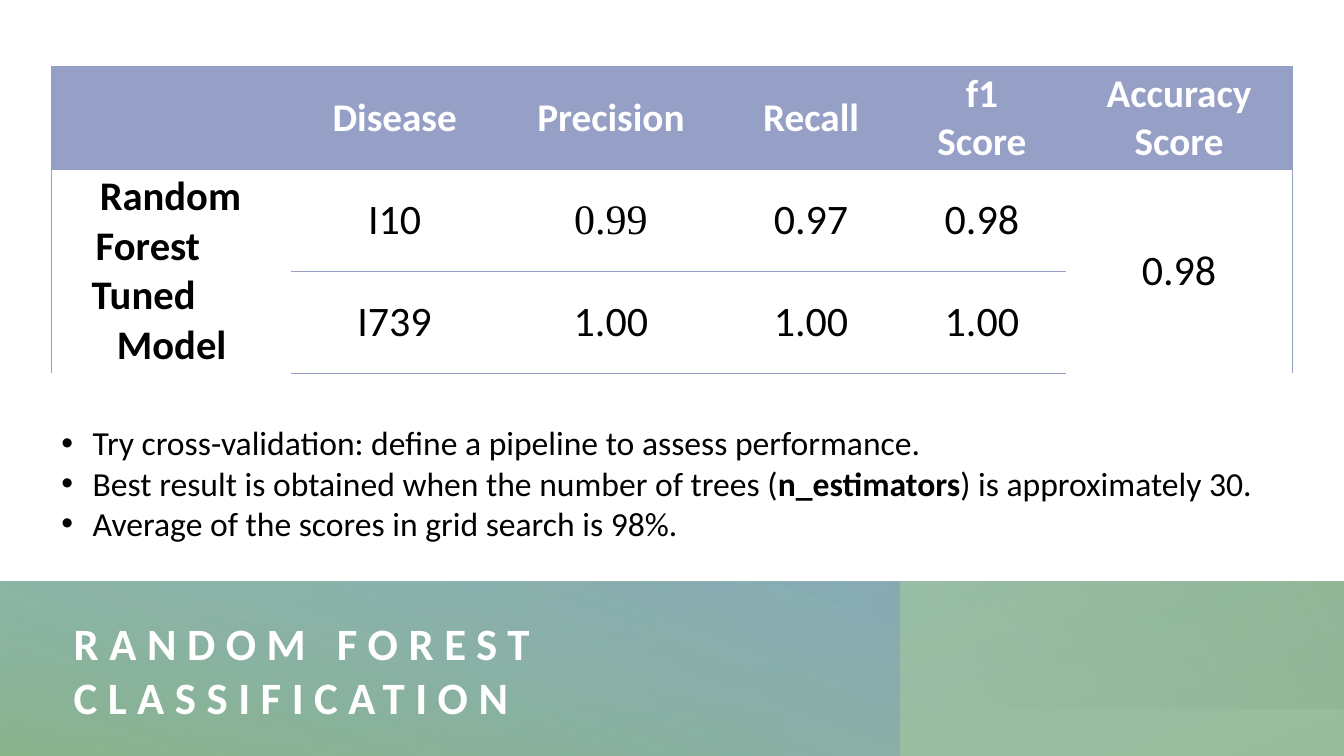
from dataclasses import dataclass

from lxml import etree
from pptx import Presentation
from pptx.dml.color import RGBColor
from pptx.enum.shapes import MSO_SHAPE
from pptx.enum.text import MSO_ANCHOR, PP_ALIGN
from pptx.oxml.ns import qn
from pptx.util import Inches, Pt

RECT = MSO_SHAPE.RECTANGLE
MIDDLE = MSO_ANCHOR.MIDDLE
LEFT, CENTER = PP_ALIGN.LEFT, PP_ALIGN.CENTER
PLAIN_TABLE = "{2D5ABB26-0587-4C30-8999-92F81FD0307C}"


@dataclass(frozen=True)
class Theme:
    font: str = "Calibri"
    serif: str = "Times New Roman"
    white: str = "FFFFFF"
    black: str = "000000"
    lavender: str = "969FC6"
    sage: str = "84AE8A"
    teal: str = "77AE96"
    blue: str = "7FA2BA"
    leaf: str = "86AF78"
    title: int = 32
    header: int = 28
    model: int = 29
    value: int = 30
    body: int = 24


T = Theme()


def add_text(p, text, size, color=T.black, font=T.font, bold=False, align=LEFT):
    p.alignment = align
    r = p.add_run()
    r.text = text
    r.font.name = font
    r.font.size = Pt(size)
    r.font.bold = bold
    r.font.color.rgb = RGBColor.from_string(color)
    return r


def add_xml(parent, tag, **attrs):
    return etree.SubElement(parent, qn(tag), {k: str(v) for k, v in attrs.items()})


prs = Presentation()
prs.slide_width, prs.slide_height = Inches(13.33), Inches(7.5)
slide = prs.slides.add_slide(prs.slide_layouts[1])
title, body = slide.placeholders

# Gradient bands: box, rotation, flip, angle, stops (position, colour, opacity)
bands = [
    ((0, 5.77, 13.34, 1.76), 0, False, 250, [(0, T.sage, 83), (100, T.teal, 74)]),
    ((3.58, 2.19, 1.76, 8.92), 90, True, 160, [(5, T.blue, 68), (100, T.sage, 43)]),
    ((3, 2.77, 1.76, 7.75), 270, False, 190, [(42, T.teal, 0), (99, T.leaf, 48)]),
    ((5.39, 5.77, 7.96, 1.26), 180, False, 330, [(0, T.sage, 37), (56, T.sage, 0)]),
]
for box, rotation, flip, angle, stops in bands:
    sp = slide.shapes.add_shape(RECT, *map(Inches, box))
    sp.rotation = rotation
    sp.shadow.inherit = False
    sp.line.fill.background()
    spPr = sp._element.spPr
    if flip:
        spPr.find(qn("a:xfrm")).set("flipH", "1")
    grad = add_xml(spPr, "a:gradFill", rotWithShape=1)
    gs_list = add_xml(grad, "a:gsLst")
    for position, color, opacity in stops:
        gs = add_xml(gs_list, "a:gs", pos=position * 1000)
        clr = add_xml(gs, "a:srgbClr", val=color)
        add_xml(clr, "a:alpha", val=opacity * 1000)
    add_xml(grad, "a:lin", ang=angle * 60000, scaled=0)
    spPr.find(qn("a:prstGeom")).addnext(grad)

# Title, raised above the bands
slide.shapes._spTree.append(title._element)
title.left, title.top, title.width, title.height = map(Inches, (0.73, 6.07, 7.88, 1.15))
tf = title.text_frame
tf.vertical_anchor = MIDDLE
tf.margin_left = tf.margin_right = tf.margin_top = tf.margin_bottom = 0
r = add_text(tf.paragraphs[0], "RANDOM FOREST CLASSIFICATION", T.title, T.white, bold=True)
r.font._element.set("spc", "750")

# Score table
widths = [2.38, 2.05, 2.24, 1.73, 1.66, 2.25]
heights = [1.02, 1.01, 1.01]
rows = [
    ["", "Disease", "Precision", "Recall", "f1 Score", "Accuracy Score"],
    ["", "I10", "0.99", "0.97", "0.98", "0.98"],
    ["", "I739", "1.00", "1.00", "1.00", ""],
]
model_lines = [("Random", 0.29), ("Forest", 0.25), ("Tuned", 0.21), ("Model", 0.46)]
last_row, last_col = len(rows) - 1, len(widths) - 1

frame = slide.shapes.add_table(len(rows), len(widths), *map(Inches, (0.51, 0.66, 12.33, 3.05)))
table = frame.table
table.horz_banding = False
table._tbl.tblPr.find(qn("a:tableStyleId")).text = PLAIN_TABLE
for col, width in zip(table.columns, widths):
    col.width = Inches(width)
for row, height in zip(table.rows, heights):
    row.height = Inches(height)
for c in (0, last_col):
    table.cell(1, c).merge(table.cell(last_row, c))

for i, row in enumerate(rows):
    for j, text in enumerate(row):
        cell = table.cell(i, j)
        cell.vertical_anchor = MIDDLE
        cell.margin_left = cell.margin_right = Inches(0.19)
        cell.margin_top = cell.margin_bottom = 0
        p = cell.text_frame.paragraphs[0]
        if i == 0:
            cell.fill.solid()
            cell.fill.fore_color.rgb = RGBColor.from_string(T.lavender)
        else:
            cell.fill.background()
        if text and i == 0:
            add_text(p, text, T.header, T.white, bold=True, align=CENTER)
        elif text:
            font = T.serif if text == "0.99" else T.font
            add_text(p, text, T.value, font=font, align=CENTER)

        # Outer frame, plus a rule under each unmerged row
        inner = 0 < j < last_col
        edges = {
            "L": j == 0,
            "R": j == last_col,
            "T": i < 2 or inner,
            "B": i == last_row or (i == 1 and inner) or i == 0,
        }
        tcPr = cell._tc.tcPr
        for n, (side, shown) in enumerate(edges.items()):
            ln = add_xml(tcPr, f"a:ln{side}", w=Pt(0.5))
            if shown:
                add_xml(add_xml(ln, "a:solidFill"), "a:srgbClr", val=T.lavender)
            else:
                add_xml(ln, "a:noFill")
            tcPr.insert(n, ln)

# Model name, one stepped line per word
tf = table.cell(1, 0).text_frame
for n, (word, indent) in enumerate(model_lines):
    p = tf.add_paragraph() if n else tf.paragraphs[0]
    add_text(p, word, T.model, bold=True)
    p._p.get_or_add_pPr().set("marL", str(Inches(indent)))

# Findings
findings = [
    [("Try cross-validation: define a pipeline to assess performance.", False)],
    [
        ("Best result is obtained when the number of trees (", False),
        ("n_estimators", True),
        (") is approximately 30.", False),
    ],
    [("Average of the scores in grid search is 98%.", False)],
]
body.left, body.top, body.width, body.height = map(Inches, (0.51, 4.14, 12.33, 1.31))
tf = body.text_frame
for n, parts in enumerate(findings):
    p = tf.add_paragraph() if n else tf.paragraphs[0]
    p.space_before = Pt(0)
    for text, bold in parts:
        add_text(p, text, T.body, bold=bold)
    pPr = p._p.get_or_add_pPr()
    pPr.set("marL", str(Inches(0.31)))
    pPr.set("indent", str(-Inches(0.31)))
    add_xml(pPr, "a:buFont", typeface="Arial")
    add_xml(pPr, "a:buChar", char="•")

prs.save("out.pptx")
